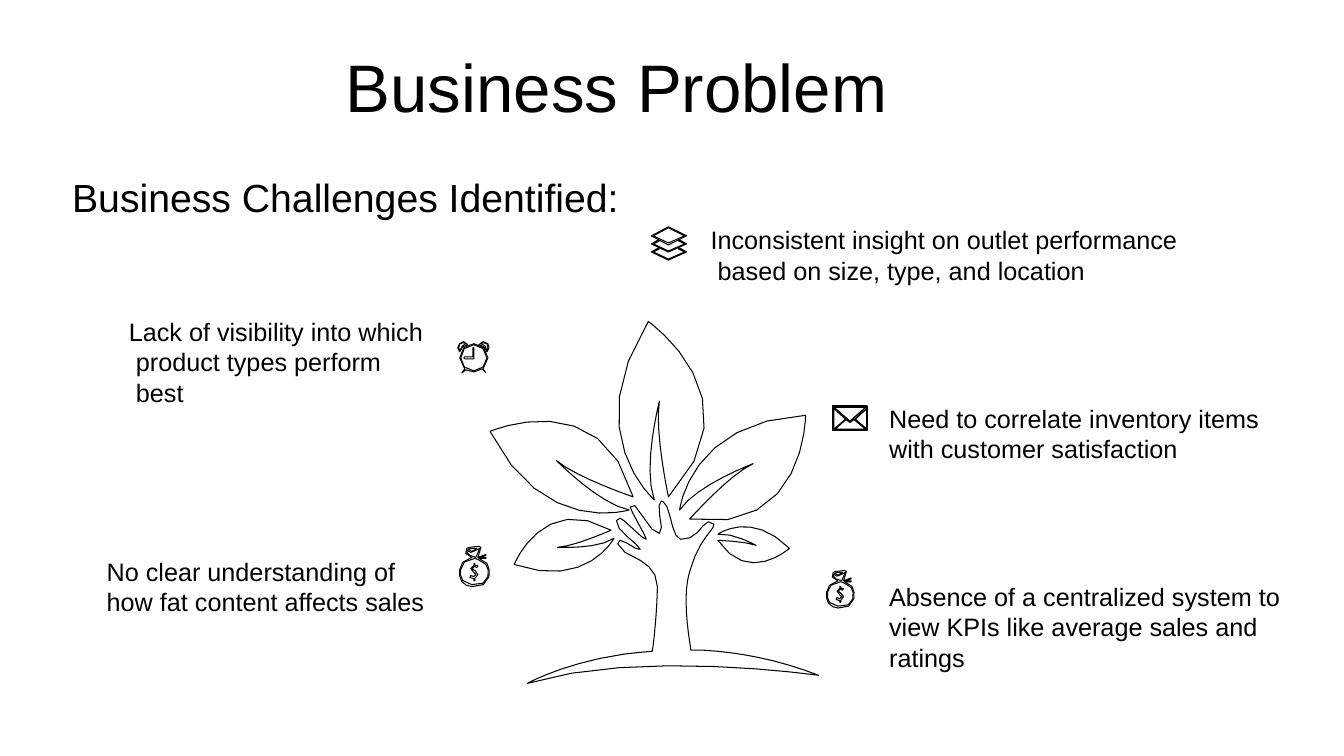
import math
from dataclasses import dataclass
from typing import NamedTuple

import pptx
import pptx.dml.color
import pptx.enum.text
import pptx.oxml.ns
import pptx.util
from lxml import etree

EMU_PER_PX = 9144  # 100 px to the inch
CURVE_STEP_PX = 10
MAX_CURVE_STEPS = 8
FONT = "Arial"
INK = "000000"
PAPER = "FFFFFF"

Point = tuple[float, float]


class Box(NamedTuple):
    left: int
    top: int
    width: int
    height: int


@dataclass
class Caption:
    box: Box
    lines: list[str]
    size: int = 18
    wrap: bool = False
    centred: bool = False
    second_line_indent: int = 0


@dataclass
class Outline:
    """Closed contours in px: M move, L line, C cubic curve, Z close."""
    contours: str
    left: int = 0
    top: int = 0
    percent: int = 100
    opacity: int = 100
    line_pt: float = 0.75


def px(length: float) -> int:
    return pptx.util.Emu(round(length * EMU_PER_PX))


def colour(hex_code: str) -> pptx.dml.color.RGBColor:
    return pptx.dml.color.RGBColor.from_string(hex_code)


def curve(p0: Point, p1: Point, p2: Point, p3: Point) -> list[Point]:
    """Points along a cubic curve, more of them the longer it is."""
    steps = min(MAX_CURVE_STEPS, math.ceil(math.dist(p0, p3) / CURVE_STEP_PX))
    points = []
    for step in range(1, steps + 1):
        t = step / steps
        weights = ((1 - t) ** 3, 3 * t * (1 - t) ** 2, 3 * t * t * (1 - t), t ** 3)
        points.append(tuple(sum(w * p[axis] for w, p in zip(weights, (p0, p1, p2, p3)))
                            for axis in (0, 1)))
    return points


def flatten(contours: str) -> list[list[Point]]:
    result, command, pending = [], "", []
    for token in contours.split():
        if token.isalpha():
            command = token
            continue
        pending.append(int(token))
        if len(pending) < (6 if command == "C" else 2):
            continue
        points = list(zip(pending[::2], pending[1::2]))
        pending = []
        if command == "M":
            result.append(points)
        elif command == "L":
            result[-1] += points
        else:
            result[-1] += curve(result[-1][-1], *points)
    return result


def draw_outline(shapes, outline: Outline) -> None:
    scale = outline.percent / 100
    builder = None
    for contour in flatten(outline.contours):
        points = [(px(outline.left + x * scale), px(outline.top + y * scale)) for x, y in contour]
        if builder is None:
            builder = shapes.build_freeform(*points[0], scale=1.0)
        else:
            builder.move_to(*points[0])
        builder.add_line_segments(points[1:], close=True)
    shape = builder.convert_to_shape()
    shape.shadow.inherit = False
    shape.fill.solid()
    shape.fill.fore_color.rgb = colour(PAPER)
    if outline.opacity < 100:
        fill_colour = shape.element.find(".//" + pptx.oxml.ns.qn("a:srgbClr"))
        etree.SubElement(fill_colour, pptx.oxml.ns.qn("a:alpha"), val=str(outline.opacity * 1000))
    shape.line.color.rgb = colour(INK)
    shape.line.width = pptx.util.Pt(outline.line_pt)


def draw_figure(slide, outlines: list[Outline]) -> None:
    shapes = slide.shapes.add_group_shape().shapes if len(outlines) > 1 else slide.shapes
    for outline in outlines:
        draw_outline(shapes, outline)


def style(paragraph, size: int) -> None:
    for run in paragraph.runs:
        run.font.name = FONT
        run.font.size = pptx.util.Pt(size)
        run.font.color.rgb = colour(INK)


def write_caption(slide, caption: Caption) -> None:
    frame = slide.shapes.add_textbox(*map(px, caption.box)).text_frame
    frame.word_wrap = caption.wrap
    frame.auto_size = pptx.enum.text.MSO_AUTO_SIZE.SHAPE_TO_FIT_TEXT
    frame.text = "\n".join(caption.lines)
    for paragraph in frame.paragraphs:
        if caption.centred:
            paragraph.alignment = pptx.enum.text.PP_ALIGN.CENTER
        style(paragraph, caption.size)
    if caption.second_line_indent:
        properties = frame.paragraphs[1]._p.get_or_add_pPr()
        properties.set("marL", str(px(caption.second_line_indent)))
        properties.set("indent", "0")


def write_title(slide, text: str, box: Box) -> None:
    title = slide.shapes.title
    title.left, title.top, title.width, title.height = map(px, box)
    frame = title.text_frame
    frame.text = text
    frame.word_wrap = True
    frame.auto_size = pptx.enum.text.MSO_AUTO_SIZE.NONE
    frame.vertical_anchor = pptx.enum.text.MSO_ANCHOR.BOTTOM
    frame.paragraphs[0].alignment = pptx.enum.text.PP_ALIGN.LEFT
    frame.paragraphs[0].line_spacing = 0.9
    style(frame.paragraphs[0], 48)


# Tree: five leaves, then the hand-shaped trunk on its ground
LEAVES = [
    "M 649 496 C 649 496 573 430 643 319 643 319 754 396 663 493 663 493 649 428 654 398 654 398 637 464 649 496 Z",
    "M 624 506 C 624 506 539 533 486 428 486 428 597 380 628 493 628 493 572 474 552 457 552 457 594 500 624 506 Z",
    "M 609 534 C 609 534 582 585 510 560 510 560 539 488 606 526 606 526 570 542 553 543 553 543 593 545 609 534 Z",
    "M 712 530 C 712 530 745 506 783 544 783 544 742 581 712 536 712 536 739 537 750 541 750 541 726 528 712 530 Z",
    "M 674 506 C 674 506 684 418 799 412 799 412 799 532 684 515 684 515 723 471 747 460 747 460 691 481 674 506 Z",
]
TRUNK = """M 656 497 L 658 498 C 665 501 666 534 675 535 684 537 694 527 697 522
    699 518 706 515 708 520 709 526 694 532 684 567 677 590 682 624 685 643 L 685 645 697 645
    C 732 647 771 654 812 670 812 670 632 644 523 678 523 678 571 651 647 646 L 648 639
    C 650 622 652 596 652 582 652 560 630 554 620 548 612 542 610 535 615 536 620 536 634 548 635 545
    636 543 619 531 614 524 609 516 612 515 615 514 617 513 639 537 641 535 642 534 625 506 625 503
    627 502 631 497 638 513 646 528 658 535 656 523 654 511 652 498 656 497 Z"""
TREE = [Outline(leaf, opacity=30) for leaf in LEAVES] + [Outline(TRUNK, opacity=50)]

# Stacked layers: one full sheet and two partly covered ones
TOP_SHEET = "M 663 243 L 681 234 663 225 646 234 Z M 663 226 L 679 234 663 241 648 234 Z"
COVERED_SHEET = "M 27 1 L 33 4 17 11 2 4 8 1 7 0 0 4 17 12 35 4 28 0 Z"
LAYERS = [Outline(TOP_SHEET)] + [Outline(COVERED_SHEET, 646, top) for top in (246, 238)]

ENVELOPE = [Outline("""M 839 416 L 828 426 859 426 847 416 843 419 Z M 827 405 L 827 426 839 416 Z
    M 860 405 L 848 416 860 426 Z M 827 404 L 843 418 859 404 Z
    M 826 403 L 860 403 860 427 826 427 Z""", line_pt=1)]

# Alarm clock: case with feet, two bells, hands
CLOCK = [Outline(part) for part in (
    """M 484 355 C 484 347 477 341 470 341 462 341 456 347 456 355 L 461 366 458 370 462 367
    470 369 478 366 482 370 479 366 Z
    M 470 368 C 462 368 457 362 457 355 457 348 462 342 470 342 477 342 483 348 483 355
    483 362 477 368 470 368 Z""",
    """M 456 349 L 459 344 464 342 460 339 456 341 454 345 Z
    M 456 341 L 460 340 462 341 459 343 456 348 455 345 Z""",
    """M 475 342 L 480 344 483 349 485 345 484 341 479 339 Z
    M 479 340 L 483 341 484 345 483 348 481 343 477 341 Z""",
    "M 470 345 L 469 345 469 354 461 354 460 355 461 356 470 356 Z",
)]

# Money bag, used at two sizes
BAG = """M 28 17 C 26 14 23 12 20 12 L 27 12 27 11 20 11 27 9 27 8 19 11 22 1 20 0 11 1 8 2 7 7 13 11
    C 4 13 2 18 1 23 0 27 1 32 3 35 6 38 9 40 13 40 23 40 28 38 30 30 31 25 30 21 28 17 Z
    M 17 3 L 13 5 9 3 13 2 18 2 Z
    M 8 6 L 8 4 12 6 17 4 21 2 17 11 11 9 Z
    M 29 30 C 27 37 23 38 13 38 10 38 6 37 4 34 2 31 1 27 2 23 3 18 6 12 16 12 L 19 13
    C 22 13 25 15 27 18 29 21 30 25 29 30 Z"""
DOLLAR = """M 16 24 L 13 22 16 20 18 21 19 19 16 19 16 17 15 17 15 19 12 22 15 26 17 28 15 30
    12 29 11 31 15 32 15 34 16 34 16 32 19 28 Z"""
MONEY_BAGS = [[Outline(part, left, top, percent) for part in (BAG, DOLLAR)]
              for left, top, percent in ((455, 542, 100), (819, 566, 93))]

CAPTIONS = [
    Caption(Box(31, 167, 623, 57), ["Business Challenges Identified:"], 28, wrap=True, centred=True),
    Caption(Box(118, 309, 324, 71),
            ["Lack of visibility into which", "product types perform best"], second_line_indent=7),
    Caption(Box(695, 218, 483, 71),
            ["Inconsistent insight on outlet performance", "based on size, type, and location"],
            second_line_indent=7),
    Caption(Box(96, 547, 335, 71), ["No clear understanding of", "how fat content affects sales"]),
    Caption(Box(872, 395, 394, 71), ["Need to correlate inventory items", "with customer satisfaction"]),
    Caption(Box(872, 572, 462, 101),
            ["Absence of a centralized system to view KPIs like average sales and ratings"], wrap=True),
]


def main() -> None:
    deck = pptx.Presentation()
    deck.slide_width, deck.slide_height = px(1333), px(750)
    slide = deck.slides.add_slide(deck.slide_layouts[5])
    write_title(slide, "Business Problem", Box(333, 19, 738, 112))
    for figure in (TREE, LAYERS, ENVELOPE, CLOCK, *MONEY_BAGS):
        draw_figure(slide, figure)
    for caption in CAPTIONS:
        write_caption(slide, caption)
    deck.save("out.pptx")


if __name__ == "__main__":
    main()
